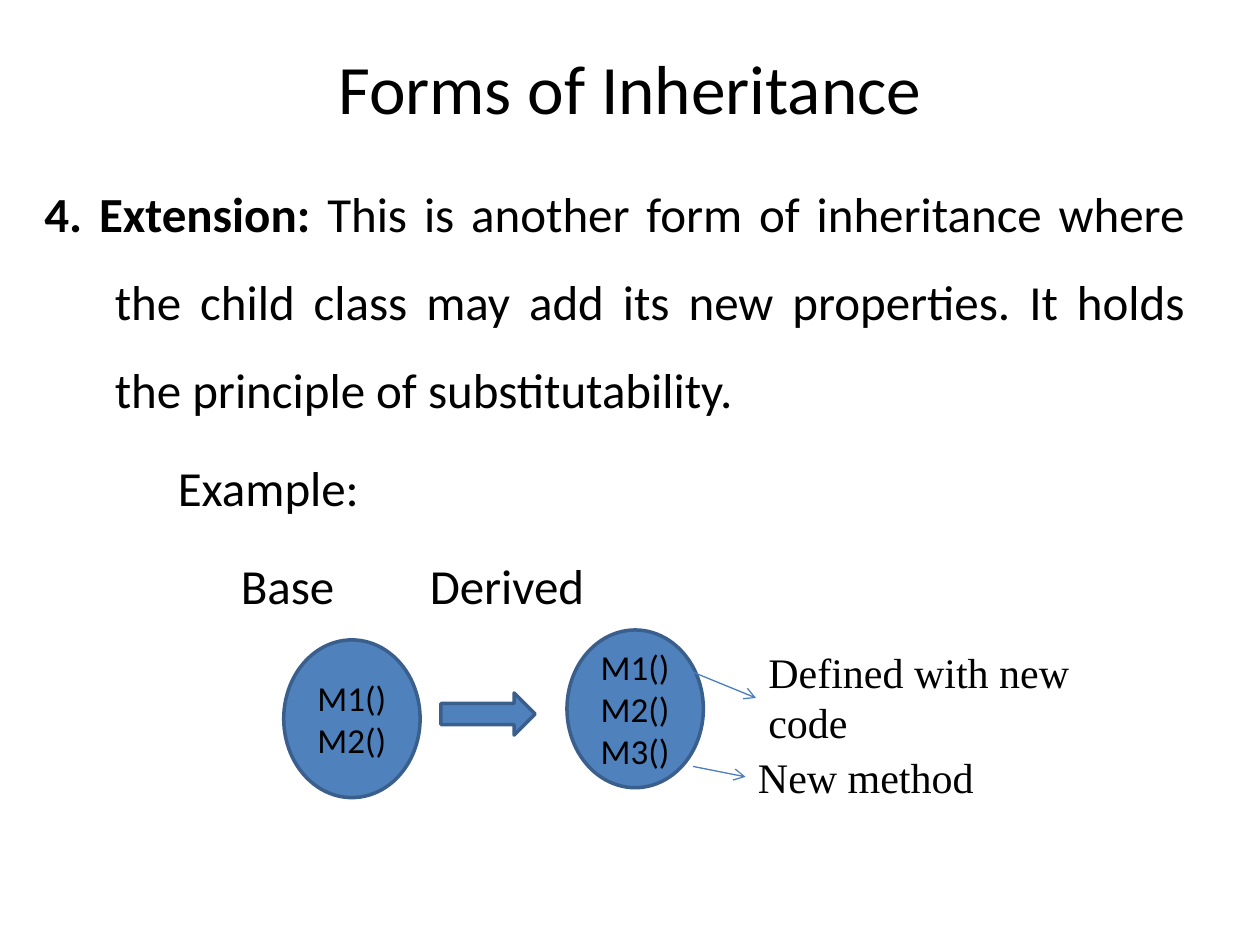
from dataclasses import dataclass

from lxml.etree import SubElement
from pptx import Presentation
from pptx.dml.color import RGBColor
from pptx.enum.shapes import MSO_CONNECTOR, MSO_SHAPE
from pptx.enum.text import MSO_ANCHOR, MSO_AUTO_SIZE, PP_ALIGN
from pptx.oxml.ns import qn
from pptx.util import Cm, Pt


@dataclass(frozen=True)
class Theme:
    ink: RGBColor = RGBColor(0x00, 0x00, 0x00)
    fill: RGBColor = RGBColor(0x4F, 0x81, 0xBD)
    outline: RGBColor = RGBColor(0x3A, 0x5F, 0x8C)
    pointer: RGBColor = RGBColor(0x4B, 0x7E, 0xBC)
    main_font: str = "Calibri"
    note_font: str = "Times New Roman"
    title_size: float = 39.6
    body_size: float = 28
    note_size: float = 24
    method_size: float = 20


class SlideBuilder:
    """Holds the theme and the current slide."""

    def __init__(self, slide, theme):
        self.slide = slide
        self.theme = theme

    def style(self, para, size, name=None, align=None):
        para.font.size = Pt(size)
        para.font.name = name or self.theme.main_font
        para.font.color.rgb = self.theme.ink
        para.alignment = align

    def place(self, box, left, top, width, height):
        box.left, box.top = Cm(left), Cm(top)
        box.width, box.height = Cm(width), Cm(height)

    def title(self, text, *area):
        box = self.slide.shapes.title
        self.place(box, *area)
        box.text_frame.text = text
        box.text_frame.auto_size = MSO_AUTO_SIZE.NONE
        self.style(box.text_frame.paragraphs[0], self.theme.title_size,
                   align=PP_ALIGN.CENTER)

    def body(self, paragraphs, *area):
        """Each paragraph is a list of (text, bold) pairs."""
        box = self.slide.placeholders[1]
        self.place(box, *area)
        frame = box.text_frame
        frame.auto_size = MSO_AUTO_SIZE.NONE
        for index, spans in enumerate(paragraphs):
            para = frame.add_paragraph() if index else frame.paragraphs[0]
            self.style(para, self.theme.body_size, align=PP_ALIGN.JUSTIFY)
            para.line_spacing = 1.5
            # Hanging indent without a bullet
            properties = para._p.get_or_add_pPr()
            properties.set("marL", str(Cm(1.42)))
            properties.set("indent", str(-Cm(1.42)))
            SubElement(properties, qn("a:buNone"))
            for text, bold in spans:
                span = para.add_run()
                span.text = text
                span.font.bold = bold

    def shape(self, kind, left, top, width, height, lines=()):
        box = self.slide.shapes.add_shape(
            kind, Cm(left), Cm(top), Cm(width), Cm(height))
        box.shadow.inherit = False
        box.fill.solid()
        box.fill.fore_color.rgb = self.theme.fill
        box.line.color.rgb = self.theme.outline
        box.line.width = Pt(2)
        if lines:
            frame = box.text_frame
            frame.text = "\n".join(lines)
            frame.vertical_anchor = MSO_ANCHOR.MIDDLE
            for para in frame.paragraphs:
                self.style(para, self.theme.method_size, align=PP_ALIGN.CENTER)

    def note(self, text, left, top, width, height):
        box = self.slide.shapes.add_textbox(
            Cm(left), Cm(top), Cm(width), Cm(height))
        frame = box.text_frame
        frame.word_wrap = True
        frame.auto_size = MSO_AUTO_SIZE.SHAPE_TO_FIT_TEXT
        frame.text = text
        self.style(frame.paragraphs[0], self.theme.note_size,
                   self.theme.note_font)

    def pointer(self, *ends):
        line = self.slide.shapes.add_connector(
            MSO_CONNECTOR.STRAIGHT, *map(Cm, ends))
        line.line.color.rgb = self.theme.pointer
        line.line.width = Pt(0.75)
        SubElement(line.line._get_or_add_ln(), qn("a:tailEnd"), type="arrow")
        SubElement(line._element.spPr, qn("a:effectLst"))


def main():
    deck = Presentation()
    deck.slide_width, deck.slide_height = Cm(25.4), Cm(19.05)
    page = SlideBuilder(deck.slides.add_slide(deck.slide_layouts[1]), Theme())

    # Title and explanation
    page.title("Forms of Inheritance", 1.27, 0.76, 22.86, 1.98)
    page.body([
        [("4. Extension: ", True),
         ("This is another form of inheritance where the child class may add "
          "its new properties. It holds the principle of substitutability.",
          False)],
        [("\t\tExample:", False)],
        [("\t\t\tBase \t\tDerived", False)],
    ], 0.64, 2.97, 23.5, 15.44)

    # Base class, derived class and the arrow between them
    methods = ["M1()", "M2()", "M3()"]
    page.shape(MSO_SHAPE.OVAL, 5.72, 12.9, 2.75, 3.18, methods[:2])
    page.shape(MSO_SHAPE.OVAL, 11.43, 12.7, 2.75, 3.18, methods)
    page.shape(MSO_SHAPE.RIGHT_ARROW, 8.89, 13.97, 1.9, 0.85)

    # Notes on the derived methods
    page.note("Defined with new code", 15.24, 12.9, 7.62, 2.31)
    page.note("New method", 15.03, 15.03, 7.62, 1.27)
    page.pointer(13.97, 13.55, 15.24, 14.07)
    page.pointer(13.97, 15.45, 15.03, 15.66)

    deck.save("out.pptx")


if __name__ == "__main__":
    main()
